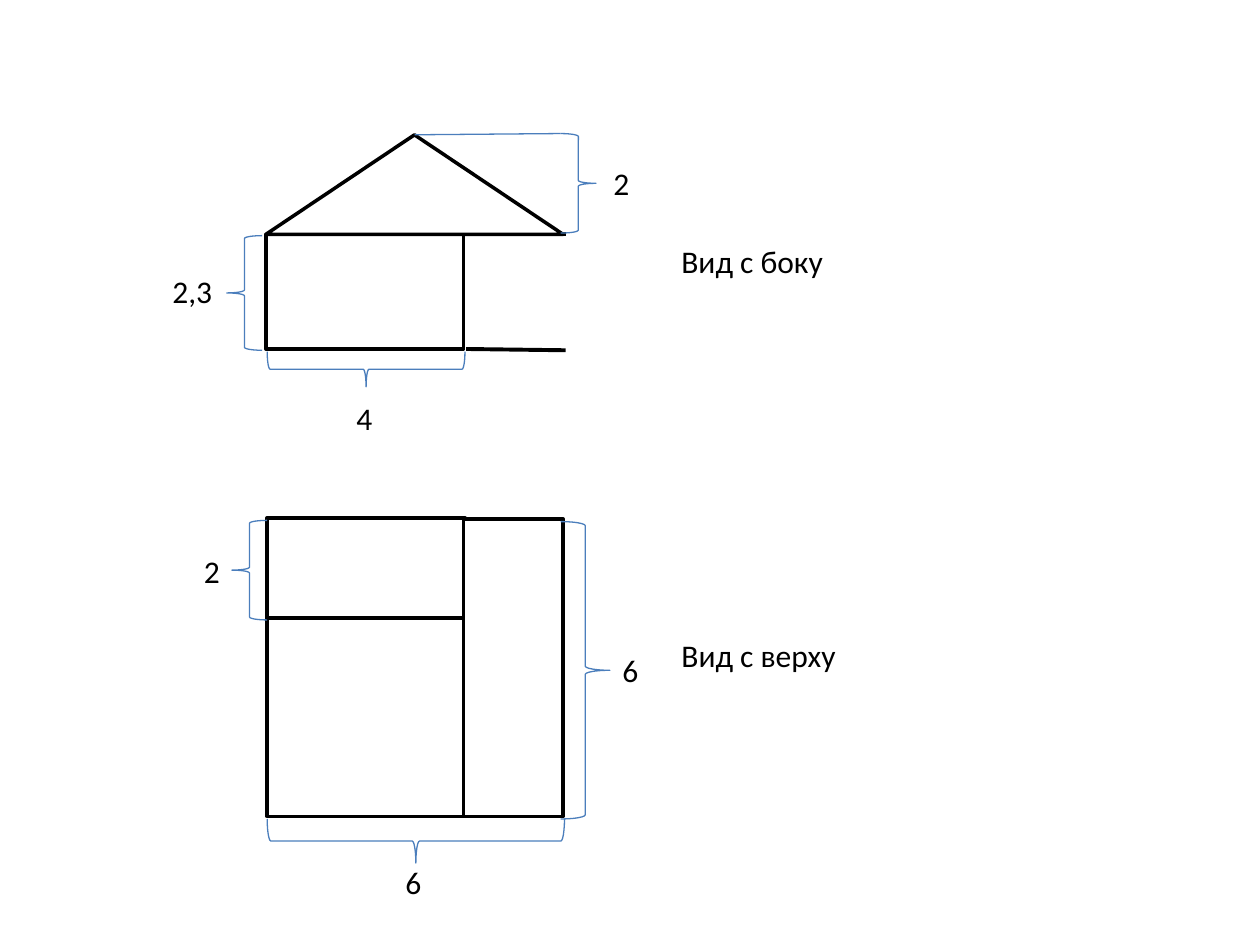
import pptx
import pptx.util
import pptx.dml.color
import pptx.enum.shapes
import pptx.enum.text
import pptx.oxml

Inches, Pt = pptx.util.Inches, pptx.util.Pt
RGBColor = pptx.dml.color.RGBColor
SHAPE = pptx.enum.shapes.MSO_SHAPE

BLACK = RGBColor(0x00, 0x00, 0x00)
WHITE = RGBColor(0xFF, 0xFF, 0xFF)
BLUE = RGBColor(0x4B, 0x7E, 0xBC)
FONT = "Calibri"

# Walls and roof: preset, (left, top, width, height)
WALLS = [
    (SHAPE.RECTANGLE, (2.12, 4.91, 1.57, 1.57)),
    (SHAPE.RECTANGLE, (2.12, 4.11, 1.57, 0.79)),
    (SHAPE.RECTANGLE, (3.68, 4.12, 0.79, 2.36)),
    (SHAPE.RECTANGLE, (2.11, 1.86, 1.57, 0.91)),
]
ROOF = (SHAPE.ISOSCELES_TRIANGLE, (2.11, 1.07, 2.36, 0.79))

# Lines: start, end, colour, width
PORCH_LINES = [
    ((3.7, 1.86), (4.49, 1.86), BLACK, 2.25),
    ((3.7, 2.77), (4.49, 2.78), BLACK, 2.25),
]
RIDGE_LINE = ((3.29, 1.07), (4.45, 1.06), BLUE, 0.75)

# Dimensions: side of the brace, its visible box, value, box of the value
DIMENSIONS = [
    ("left", (1.8, 1.87, 0.28, 0.91), "2,3", (1.27, 2.11, 0.55, 0.4)),
    ("bottom", (2.12, 2.79, 1.57, 0.28), "4", (2.73, 3.12, 0.23, 0.4)),
    ("bottom", (2.12, 6.5, 2.36, 0.35), "6", (3.12, 6.8, 0.47, 0.4)),
    ("right", (4.45, 4.14, 0.39, 2.36), "6", (4.84, 5.12, 0.29, 0.4)),
    ("left", (1.84, 4.13, 0.28, 0.79), "2", (1.52, 4.33, 0.27, 0.4)),
    ("right", (4.45, 1.06, 0.28, 0.79), "2", (4.77, 1.25, 0.39, 0.4)),
]

VIEW_TITLES = [
    ("Вид с боку", (5.31, 1.87, 1.64, 0.4)),
    ("Вид с верху", (5.31, 5, 1.72, 0.4)),
]

prs = pptx.Presentation()
prs.slide_width, prs.slide_height = Inches(10), Inches(7.5)
slide = prs.slides.add_slide(prs.slide_layouts[6])


def add_outline(preset, box, colour, width):
    outline = slide.shapes.add_shape(preset, *map(Inches, box))
    outline.shadow.inherit = False
    outline.line.color.rgb = colour
    outline.line.width = Pt(width)
    return outline


def add_wall(preset, box):
    wall = add_outline(preset, box, BLACK, 2)
    wall.fill.solid()
    wall.fill.fore_color.rgb = WHITE


def add_line(start, end, colour, width):
    line = slide.shapes.add_connector(
        pptx.enum.shapes.MSO_CONNECTOR.STRAIGHT, *map(Inches, start + end))
    line.line.color.rgb = colour
    line.line.width = Pt(width)
    line._element.spPr.append(pptx.oxml.parse_xml(
        '<a:effectLst xmlns:a="http://schemas.openxmlformats.org/drawingml/2006/main"/>'))


def add_brace(side, box):
    left, top, width, height = box
    if side == "bottom":
        # A quarter turn swaps width and height around the same centre
        shift = (width - height) / 2
        box = (left + shift, top - shift, height, width)
    preset = SHAPE.LEFT_BRACE if side == "left" else SHAPE.RIGHT_BRACE
    brace = add_outline(preset, box, BLUE, 0.75)
    brace.fill.background()
    brace.rotation = 90 if side == "bottom" else 0


def add_label(text, box):
    frame = slide.shapes.add_textbox(*map(Inches, box)).text_frame
    frame.word_wrap = True
    frame.auto_size = pptx.enum.text.MSO_AUTO_SIZE.SHAPE_TO_FIT_TEXT
    frame.text = text
    font = frame.paragraphs[0].font
    font.name, font.size = FONT, Pt(18)
    font.color.rgb = BLACK


# House outlines
for preset, box in WALLS:
    add_wall(preset, box)
for porch_line in PORCH_LINES:
    add_line(*porch_line)
add_wall(*ROOF)

# Dimensions
for side, brace_box, value, value_box in DIMENSIONS:
    add_brace(side, brace_box)
    add_label(value, value_box)
add_line(*RIDGE_LINE)

# View titles
for title, box in VIEW_TITLES:
    add_label(title, box)

prs.save("out.pptx")
